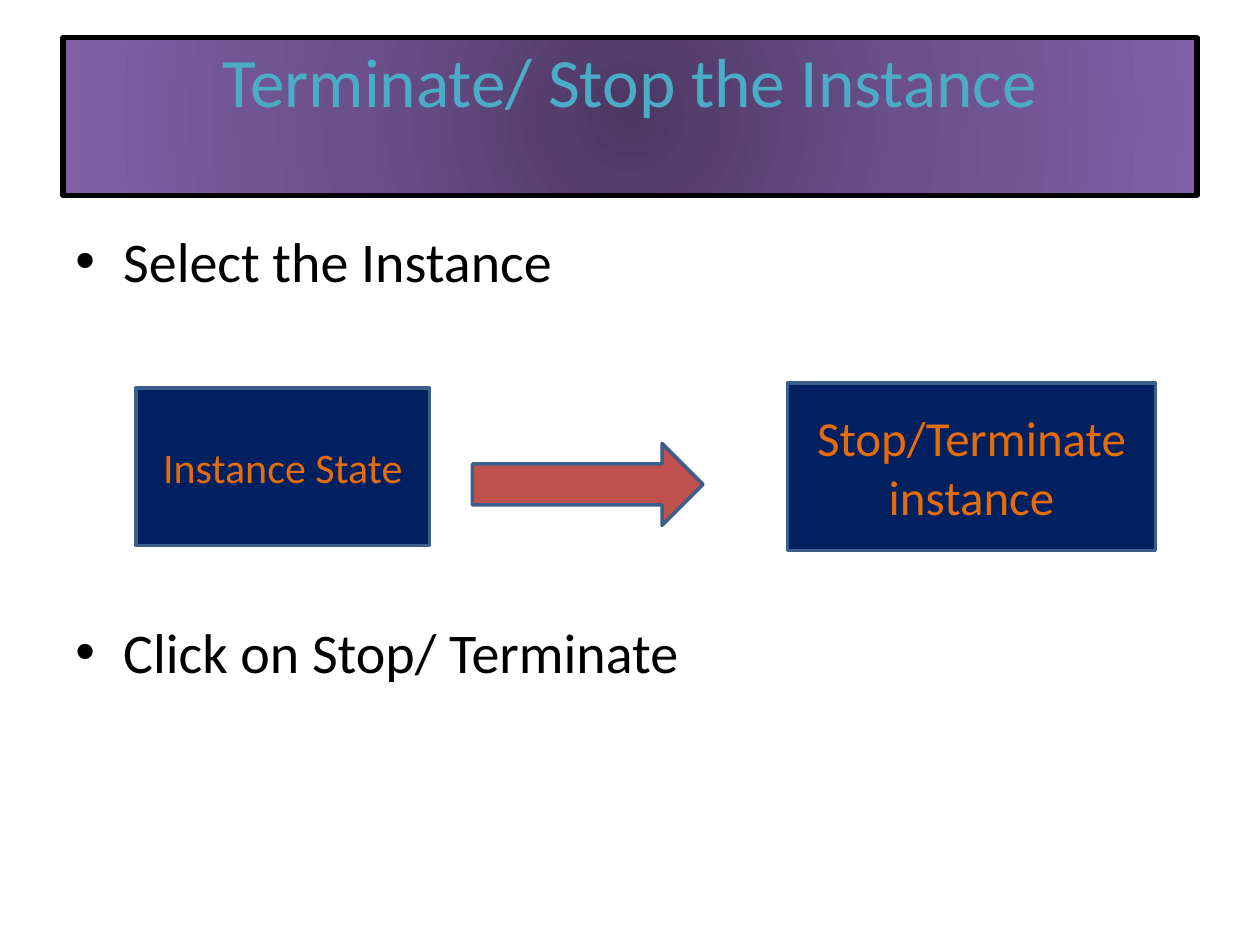
from lxml.etree import SubElement
from pptx import Presentation
from pptx.dml.color import RGBColor
from pptx.enum.shapes import MSO_SHAPE
from pptx.enum.text import MSO_ANCHOR, PP_ALIGN
from pptx.oxml.ns import qn
from pptx.util import Inches, Pt

COLORS = {
    "title": "4BACC6",
    "title_border": "000000",
    "body": "000000",
    "box": "002060",
    "box_text": "E46C0A",
    "border": "3A5F8C",
    "arrow": "C0504D",
}
TITLE_GRADIENT = [(0, "4C3863"), (50, "6C508C"), (100, "805FA7")]


def color(name):
    return RGBColor.from_string(COLORS[name])


def add_bullet(paragraph, indent):
    properties = paragraph._p.get_or_add_pPr()
    properties.set("marL", str(indent))
    properties.set("indent", str(-indent))
    SubElement(properties, qn("a:buFont"), typeface="Arial")
    SubElement(properties, qn("a:buChar"), char="•")


def write_text(paragraph, text, size, color_name, align=PP_ALIGN.CENTER,
               space_before=0, bullet_indent=None):
    if bullet_indent is not None:
        add_bullet(paragraph, bullet_indent)
    paragraph.alignment = align
    paragraph.space_before = Pt(space_before)
    run = paragraph.add_run()
    run.text = text
    run.font.name = "Calibri"
    run.font.size = Pt(size)
    run.font.color.rgb = color(color_name)


def add_block(slide, kind, left, top, width, height, fill, border="border", line_width=2):
    shape = slide.shapes.add_shape(
        kind, Inches(left), Inches(top), Inches(width), Inches(height))
    shape.shadow.inherit = False
    shape.fill.solid()
    shape.fill.fore_color.rgb = color(fill)
    shape.line.color.rgb = color(border)
    shape.line.width = Pt(line_width)
    return shape


def apply_radial_gradient(shape, stops):
    properties = shape._element.spPr
    solid = properties.find(qn("a:solidFill"))
    gradient = SubElement(properties, qn("a:gradFill"), rotWithShape="1")
    properties.replace(solid, gradient)
    stop_list = SubElement(gradient, qn("a:gsLst"))
    for position, value in stops:
        stop = SubElement(stop_list, qn("a:gs"), pos=str(position * 1000))
        SubElement(stop, qn("a:srgbClr"), val=value)
    circle = SubElement(gradient, qn("a:path"), path="circle")
    SubElement(circle, qn("a:fillToRect"), l="50000", t="50000", r="50000", b="50000")


def add_title(slide, text):
    shape = add_block(slide, MSO_SHAPE.RECTANGLE, 0.5, 0.3, 9, 1.25,
                      "box", border="title_border", line_width=3)
    apply_radial_gradient(shape, TITLE_GRADIENT)
    frame = shape.text_frame
    frame.vertical_anchor = MSO_ANCHOR.TOP
    frame.margin_top = 0
    write_text(frame.paragraphs[0], text, 39.6, "title")


def add_steps(slide, steps, gap):
    box = slide.shapes.add_textbox(Inches(0.5), Inches(1.75), Inches(9), Inches(4.95))
    frame = box.text_frame
    frame.word_wrap = True
    for index, step in enumerate(steps):
        paragraph = frame.add_paragraph() if index else frame.paragraphs[0]
        write_text(paragraph, step, 32, "body", align=PP_ALIGN.LEFT,
                   space_before=gap if index else 0, bullet_indent=Inches(0.38))


def add_box(slide, text, left, top, width, height, size):
    shape = add_block(slide, MSO_SHAPE.RECTANGLE, left, top, width, height, "box")
    frame = shape.text_frame
    frame.word_wrap = True
    frame.vertical_anchor = MSO_ANCHOR.MIDDLE
    write_text(frame.paragraphs[0], text, size, "box_text")


def main():
    presentation = Presentation()
    presentation.slide_width = Inches(10)
    presentation.slide_height = Inches(7.5)
    slide = presentation.slides.add_slide(presentation.slide_layouts[6])

    add_title(slide, "Terminate/ Stop the Instance")
    add_steps(slide, ["Select the Instance", "Click on Stop/ Terminate"], gap=185)
    add_box(slide, "Instance State", 1.08, 3.08, 2.33, 1.25, size=24)
    add_block(slide, MSO_SHAPE.RIGHT_ARROW, 3.75, 3.52, 1.83, 0.65, "arrow")
    add_box(slide, "Stop/Terminate instance", 6.25, 3.04, 2.92, 1.33, size=28)

    presentation.save("out.pptx")


if __name__ == "__main__":
    main()
